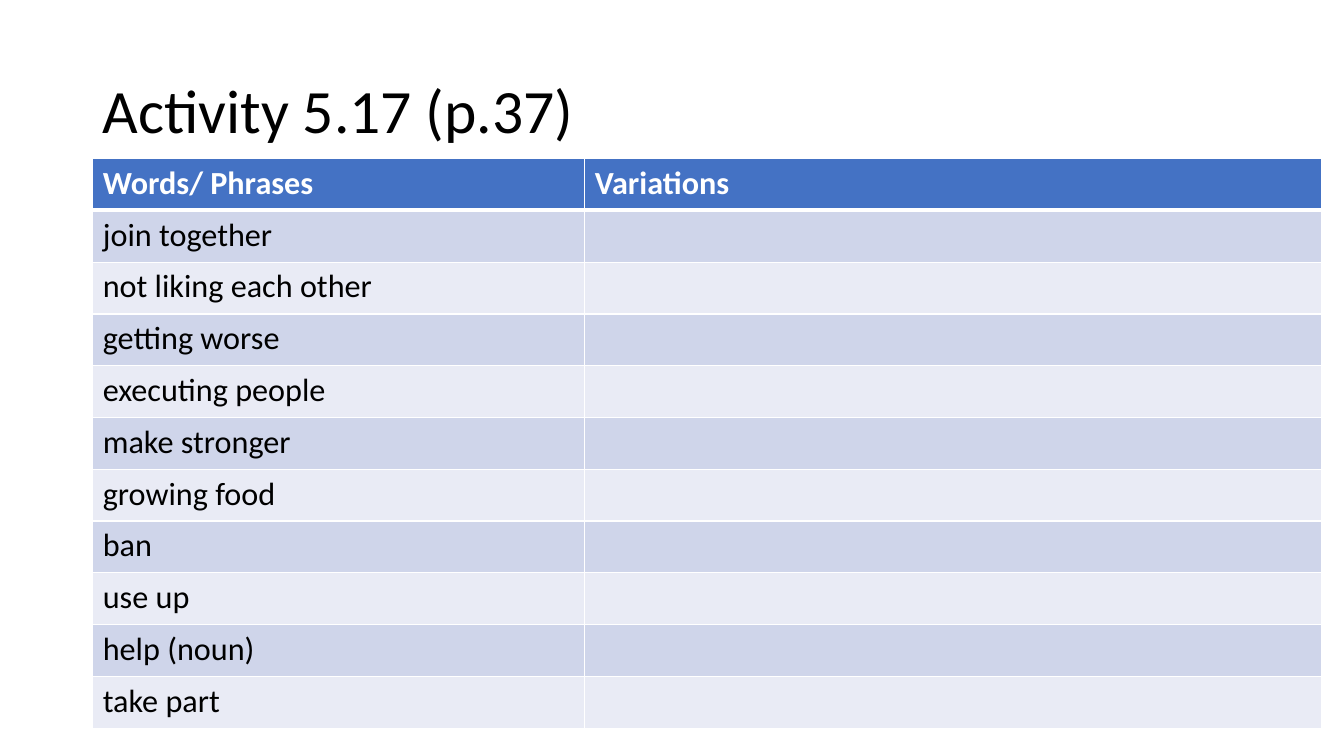
from lxml import etree
from pptx import Presentation, util as u
from pptx.dml.color import RGBColor
from pptx.enum import text
from pptx.oxml.ns import qn

WORDS = ["join together", "not liking each other", "getting worse", "executing people",
         "make stronger", "growing food", "ban", "use up", "help (noun)", "take part"]


def rgb(value):
    return RGBColor.from_string(value)


def write(tf, words, size=23, color="000000", bold=False, font="Calibri", spacing=None):
    p = tf.paragraphs[0]
    p.line_spacing = spacing
    r = p.add_run()
    r.text = words
    r.font.name, r.font.size, r.font.bold = font, u.Pt(size), bold
    r.font.color.rgb = rgb(color)


class Deck:
    HEADER, BANDS, BORDER = "4472C4", ("CFD5EA", "E9EBF5"), "FFFFFF"

    def __init__(self, width, height):
        self.prs = Presentation()
        self.prs.slide_width, self.prs.slide_height = u.Inches(width), u.Inches(height)
        self.s = self.prs.slides.add_slide(self.prs.slide_layouts[6])

    # Grid of 100 columns by 100 rows
    def cols(self, n):
        return round(self.prs.slide_width * n / 100)

    def rows(self, n):
        return round(self.prs.slide_height * n / 100)

    def title(self, words, x, y, w, h):
        sp = self.s.shapes.add_textbox(self.cols(x), self.rows(y), self.cols(w), self.rows(h))
        tf = sp.text_frame
        tf.word_wrap = True
        tf.vertical_anchor = text.MSO_ANCHOR.MIDDLE
        write(tf, words, size=44, spacing=0.9)

    def borders(self, cell, **widths):
        tc_pr = cell._tc.get_or_add_tcPr()
        for i, side in enumerate("LRTB"):
            ln = etree.Element(qn(f"a:ln{side}"), w=str(u.Pt(widths.get(side, 1))))
            fill = etree.SubElement(ln, qn("a:solidFill"))
            etree.SubElement(fill, qn("a:srgbClr"), val=self.BORDER)
            tc_pr.insert(i, ln)

    def table(self, data, x, y, widths, h):
        frame = self.s.shapes.add_table(len(data), len(widths), self.cols(x), self.rows(y),
                                        self.cols(sum(widths)), self.rows(h))
        table = frame.table
        for column, w in zip(table.columns, widths):
            column.width = self.cols(w)
        for i, values in enumerate(data):
            table.rows[i].height = self.rows(h / len(data))
            head = i == 0
            for j, value in enumerate(values):
                cell = table.cell(i, j)
                cell.fill.solid()
                cell.fill.fore_color.rgb = rgb(self.HEADER if head else self.BANDS[(i - 1) % 2])
                self.borders(cell, B=3 if head else 1, T=3 if i == 1 else 1)
                if value:
                    write(cell.text_frame, value, bold=head, color="FFFFFF" if head else "000000")


def main():
    deck = Deck(13.33, 7.5)
    # Heading
    deck.title("Activity 5.17 (p.37)", 6.9, 5.33, 86.27, 19.33)
    # Vocabulary table with room for answers
    data = [("Words/ Phrases", "Variations")] + [(word, "") for word in WORDS]
    deck.table(data, 6.9, 20.97, (36.61, 54.84), 75.4)
    deck.prs.save("out.pptx")


if __name__ == "__main__":
    main()
